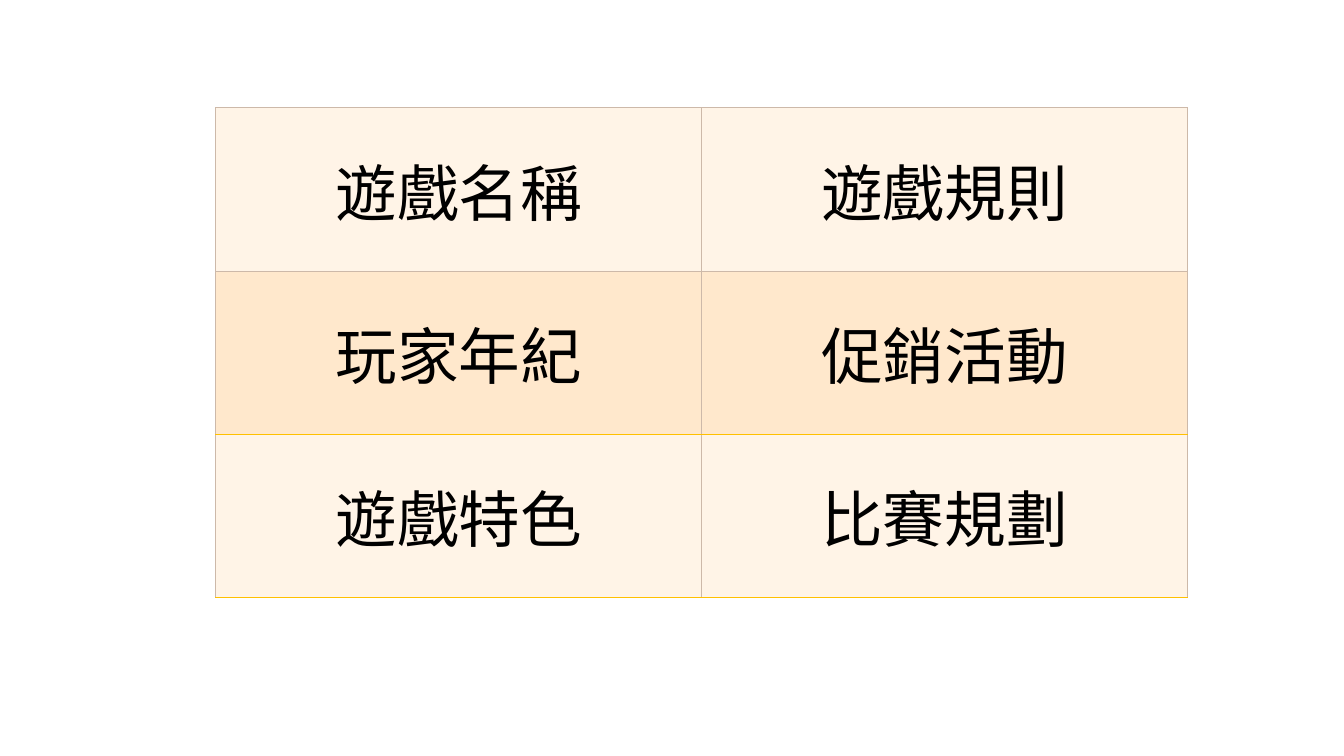
"""Build a slide with a three-row table of game planning topics."""
from lxml import etree
from pptx import Presentation
from pptx.dml.color import RGBColor
from pptx.enum import text
from pptx.oxml import ns
from pptx.util import Inches, Pt

TOPICS = [
    ("遊戲名稱", "遊戲規則"),
    ("玩家年紀", "促銷活動"),
    ("遊戲特色", "比賽規劃"),
]
COLORS = {"light": "FFF4E7", "band": "FFE8CC", "text": "000000",
          "gold": "FFC000", "tan": "CDB9A9"}
LEFT, TOP, COL_W, ROW_H = 2.14, 1.07, 4.82, 1.62
FONT, SIZE, BORDER = "Calibri", 44, 1


def set_border(cell, side, color):
    """Draw one edge of a cell."""
    tcPr = cell._tc.get_or_add_tcPr()
    ln = etree.Element(ns.qn(f"a:{side}"), w=str(Pt(BORDER)))
    fill = etree.SubElement(ln, ns.qn("a:solidFill"))
    etree.SubElement(fill, ns.qn("a:srgbClr"), val=COLORS[color])
    tcPr.append(ln)


def fill_cell(cell, row, label):
    """Set the borders, fill and text of a cell."""
    edges = {"lnL": "tan", "lnR": "tan",
             "lnT": "gold" if row == 2 else "tan",
             "lnB": "gold" if row >= 1 else "tan"}
    for side, color in edges.items():
        set_border(cell, side, color)
    cell.fill.solid()
    cell.fill.fore_color.rgb = RGBColor.from_string(
        COLORS["band" if row % 2 else "light"])
    cell.vertical_anchor = text.MSO_ANCHOR.MIDDLE
    p = cell.text_frame.paragraphs[0]
    p.alignment = text.PP_ALIGN.CENTER
    r = p.add_run()
    r.text = label
    r.font.name = FONT
    r.font.size = Pt(SIZE)
    r.font.bold = False
    r.font.color.rgb = RGBColor.from_string(COLORS["text"])


def main():
    """Create and save the slide."""
    prs = Presentation()
    prs.slide_width, prs.slide_height = Inches(13.33), Inches(7.5)
    s = prs.slides.add_slide(prs.slide_layouts[6])
    rows, cols = len(TOPICS), len(TOPICS[0])
    table = s.shapes.add_table(rows, cols, Inches(LEFT), Inches(TOP),
                               Inches(COL_W * cols), Inches(ROW_H * rows)).table
    table.first_row = False
    table.horz_banding = False
    for i, labels in enumerate(TOPICS):
        for j, label in enumerate(labels):
            fill_cell(table.cell(i, j), i, label)
    prs.save("out.pptx")


if __name__ == "__main__":
    main()
